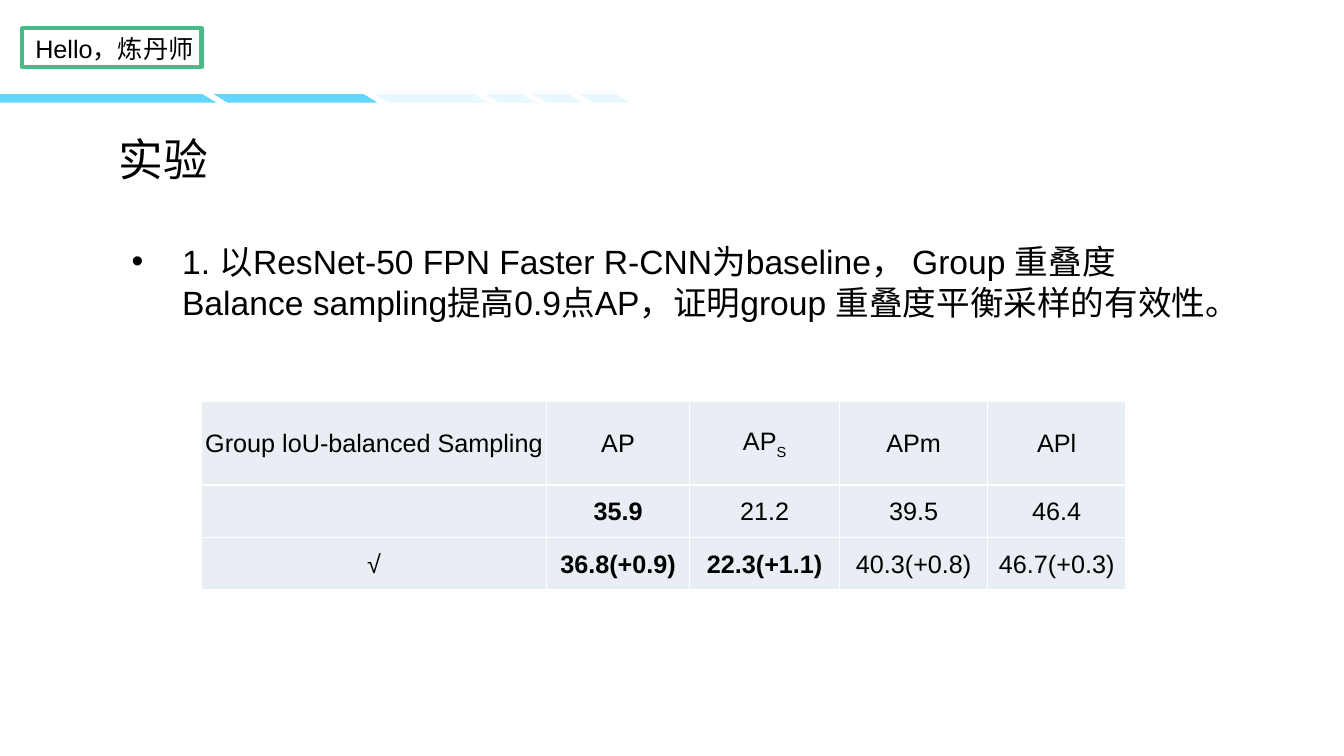
import pptx
import pptx.util
import pptx.dml.color
import pptx.enum.shapes
import pptx.enum.text
import pptx.oxml.ns
import pptx.oxml.xmlchemy
from pptx.util import Cm

LATIN, CJK = "Arial", "Noto Sans CJK SC"
ALIGN = pptx.enum.text.PP_ALIGN
ANCHOR = pptx.enum.text.MSO_ANCHOR


def rgb(value):
    return pptx.dml.color.RGBColor.from_string(value)


def add_element(parent, tag, **attributes):
    element = pptx.oxml.xmlchemy.OxmlElement(tag)
    for key, value in attributes.items():
        element.set(key, value)
    parent.append(element)
    return element


def format_runs(paragraph, size, latin=LATIN, bold=False):
    for run in paragraph.runs:
        run.font.size = pptx.util.Pt(size)
        run.font.bold = bold
        run.font.color.rgb = rgb("000000")
        run.font.name = latin
        add_element(run._r.get_or_add_rPr(), "a:ea", typeface=CJK)


def add_stripe_group(slide, left, top, height, widths, alpha=100):
    slant, gap = 0.36, 0.28
    builder = None
    for width in widths:
        right = left + width
        bottom_left = left + slant if left else left
        corners = [(left, top), (right, top),
                   (right + slant, top + height), (bottom_left, top + height)]
        start, *others = [(Cm(x), Cm(y)) for x, y in corners]
        if builder is None:
            builder = slide.shapes.build_freeform(*start, scale=1.0)
        else:
            builder.move_to(*start)
        builder.add_line_segments(others, close=True)
        left = right + gap
    stripes = builder.convert_to_shape()
    stripes.shadow.inherit = False
    stripes.line.fill.background()
    stripes.fill.solid()
    stripes.fill.fore_color.rgb = rgb("61D6FE")
    if alpha < 100:
        color = stripes.fill._xPr.find(".//" + pptx.oxml.ns.qn("a:srgbClr"))
        add_element(color, "a:alpha", val=str(alpha * 1000))
    return left


def add_header_stripes(slide, left, top, height):
    light_left = add_stripe_group(slide, left, top, height, [5.1, 3.78])
    add_stripe_group(slide, light_left, top, height, [2.51] + [0.91] * 3, alpha=15)


def add_greeting(slide, left, top, width, height):
    frame = slide.shapes.add_shape(pptx.enum.shapes.MSO_SHAPE.RECTANGLE,
                                   Cm(left), Cm(top), Cm(width), Cm(height))
    frame.shadow.inherit = False
    frame.fill.background()
    frame.line.color.rgb = rgb("49BB88")
    frame.line.width = pptx.util.Pt(3)
    greeting = slide.shapes.add_textbox(Cm(left + 0.08), Cm(top), Cm(12.9), Cm(0.79)).text_frame
    greeting.word_wrap = True
    greeting.text = "Hello，炼丹师"
    format_runs(greeting.paragraphs[0], 18)


def place_title(slide, left, top, width, height):
    title = slide.shapes.title
    title.left, title.top, title.width, title.height = Cm(left), Cm(top), Cm(width), Cm(height)
    heading = title.text_frame
    heading.text = "实验"
    heading.auto_size = pptx.enum.text.MSO_AUTO_SIZE.NONE
    heading.vertical_anchor = ANCHOR.MIDDLE
    heading.paragraphs[0].alignment = ALIGN.LEFT
    format_runs(heading.paragraphs[0], 32, CJK)


def add_finding(slide, left, top, width, height):
    finding = slide.shapes.add_textbox(Cm(left), Cm(top), Cm(width), Cm(height)).text_frame
    finding.word_wrap = True
    finding.text = ("1. 以ResNet-50 FPN Faster R-CNN为baseline， Group 重叠度 Balance sampling"
                    "提高0.9点AP，证明group 重叠度平衡采样的有效性。")
    paragraph = finding.paragraphs[0]
    paragraph.line_spacing = pptx.util.Pt(29.3)
    properties = paragraph._p.get_or_add_pPr()
    properties.set("marL", str(Cm(1.27)))
    properties.set("indent", str(Cm(-1.27)))
    add_element(properties, "a:buFont", typeface=LATIN)
    add_element(properties, "a:buChar", char="•")
    format_runs(paragraph, 24)


def format_cell(cell, bold):
    cell.margin_left = cell.margin_right = cell.margin_top = Cm(0.05)
    cell.margin_bottom = 0
    cell.vertical_anchor = ANCHOR.MIDDLE
    cell.text_frame.paragraphs[0].alignment = ALIGN.CENTER
    format_runs(cell.text_frame.paragraphs[0], 18, bold=bold)
    properties = cell._tc.get_or_add_tcPr()
    for side in "LRTB":
        border = add_element(properties, "a:ln" + side, w=str(pptx.util.Pt(1)))
        add_element(add_element(border, "a:solidFill"), "a:srgbClr", val="FFFFFF")
    cell.fill.solid()
    cell.fill.fore_color.rgb = rgb("E9EDF4")


def add_results(slide, left, top):
    results = [
        ["Group loU-balanced Sampling", "AP", "AP", "APm", "APl"],
        ["", "35.9", "21.2", "39.5", "46.4"],
        ["√", "36.8(+0.9)", "22.3(+1.1)", "40.3(+0.8)", "46.7(+0.3)"],
    ]
    best = {"35.9", "36.8(+0.9)", "22.3(+1.1)"}
    widths = [8.69, 3.61, 3.78, 3.73, 3.48]
    heights = [2.11, 1.32, 1.32]
    table = slide.shapes.add_table(len(heights), len(widths), Cm(left), Cm(top),
                                   Cm(sum(widths)), Cm(sum(heights))).table
    table.first_row = table.horz_banding = False
    for column, width in zip(table.columns, widths):
        column.width = Cm(width)
    for row, height, values in zip(table.rows, heights, results):
        row.height = Cm(height)
        for cell, value in zip(row.cells, values):
            cell.text = value
            format_cell(cell, value in best)
    small_objects = table.cell(0, 2).text_frame.paragraphs[0]
    subscript = small_objects.add_run()
    subscript.text = "S"
    format_runs(small_objects, 18)
    subscript._r.get_or_add_rPr().set("baseline", "-25000")


def main():
    deck = pptx.Presentation()
    deck.slide_width, deck.slide_height = Cm(33.87), Cm(19.05)
    slide = deck.slides.add_slide(deck.slide_layouts[5])
    add_header_stripes(slide, 0, 2.37, 0.22)
    add_greeting(slide, 0.56, 0.71, 4.52, 0.99)
    place_title(slide, 2.74, 3.18, 6.99, 1.63)
    add_finding(slide, 3.07, 5.92, 27.74, 1.12)
    add_results(slide, 5.08, 10.11)
    deck.save("out.pptx")


if __name__ == "__main__":
    main()
